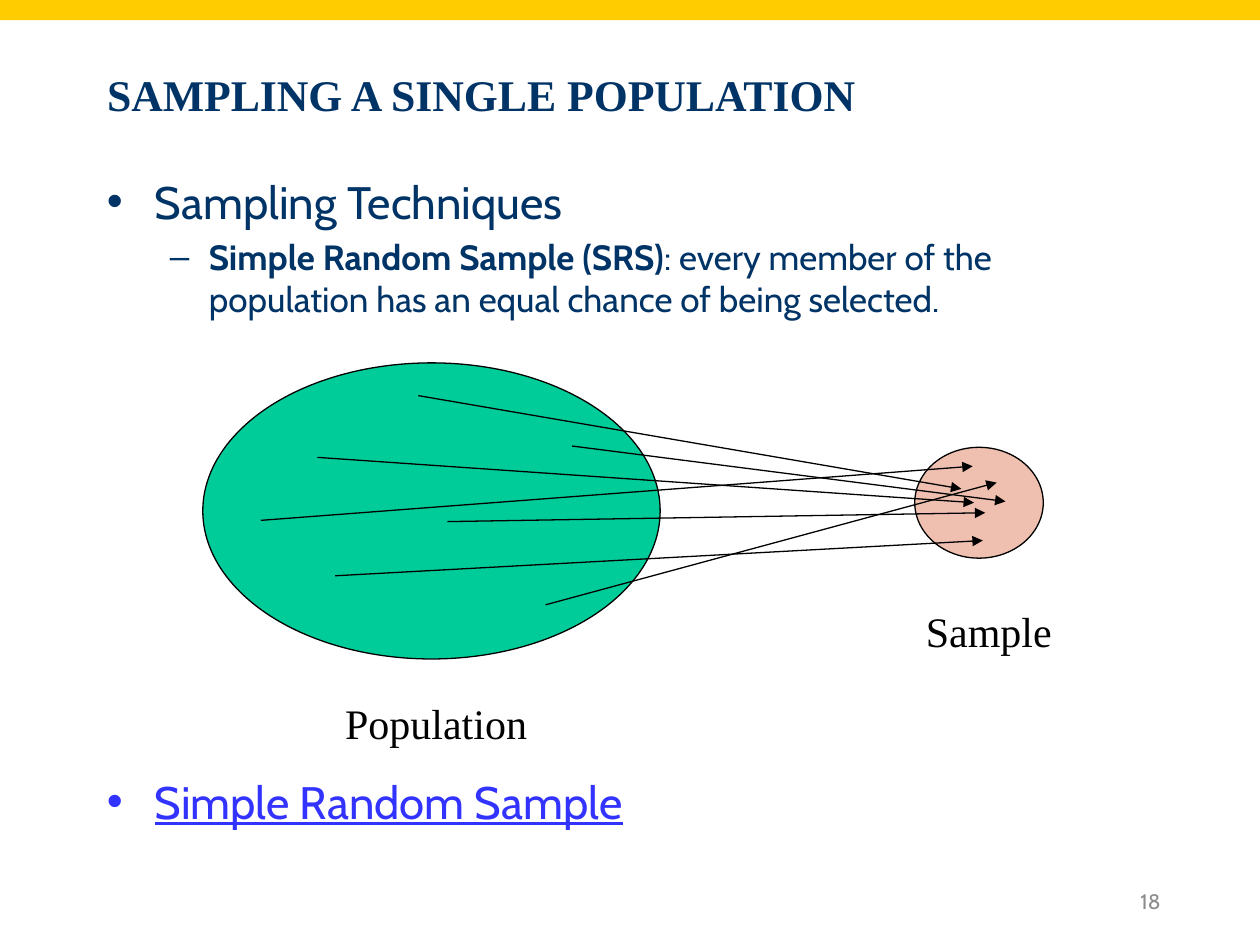
"""Build the slide on drawing a simple random sample from a population."""
from dataclasses import dataclass

from lxml.etree import SubElement
from pptx import Presentation
from pptx.dml.color import RGBColor
from pptx.enum.shapes import MSO_CONNECTOR as Connector, MSO_SHAPE as Shape
from pptx.enum.text import MSO_ANCHOR as Anchor, MSO_AUTO_SIZE as AutoSize, PP_ALIGN as Align
from pptx.oxml.ns import qn
from pptx.slide import Slide
from pptx.text.text import TextFrame, _Paragraph as Paragraph
from pptx.util import Inches, Pt

NAVY = RGBColor(0x00, 0x33, 0x66)
GOLD = RGBColor(0xFF, 0xCC, 0x00)
GREEN = RGBColor(0x00, 0xCC, 0x99)
SALMON = RGBColor(0xEF, 0xC0, 0xAF)
LINK_BLUE = RGBColor(0x33, 0x33, 0xFF)
GREY = RGBColor(0x8C, 0x8C, 0x8C)
BLACK = RGBColor(0, 0, 0)
SANS, SERIF = "Cabin", "Times New Roman"

TITLE_FORMAT = dict(name=SERIF, size=Pt(25), bold=True)
LABEL_FORMAT = dict(name=SERIF, size=Pt(24))
TOPIC_FORMAT = dict(name=SANS, size=Pt(26))
DETAIL_FORMAT = dict(name=SANS, size=Pt(20))
NUMBER_FORMAT = dict(name=SANS, size=Pt(12))


@dataclass(frozen=True)
class Box:
    left: float
    top: float
    width: float
    height: float

    def lengths(self) -> tuple:
        return tuple(map(Inches, (self.left, self.top, self.width, self.height)))


@dataclass(frozen=True)
class Group:
    label: str
    oval: Box
    label_box: Box
    fill: RGBColor


@dataclass(frozen=True)
class Draw:
    start: tuple[float, float]
    end: tuple[float, float]


GROUPS = (
    Group("Population", Box(1.61, 2.88, 3.63, 2.35), Box(2.64, 5.49, 1.69, 0.51), GREEN),
    Group("Sample", Box(7.26, 3.55, 1.02, 0.88), Box(7.25, 4.76, 1.5, 0.51), SALMON),
)
DRAWS = (
    Draw((3.32, 3.14), (7.63, 3.88)),
    Draw((2.52, 3.63), (7.73, 3.99)),
    Draw((2.66, 4.57), (7.8, 4.29)),
    Draw((3.55, 4.14), (7.82, 4.07)),
    Draw((4.33, 4.8), (7.91, 3.83)),
    Draw((4.54, 3.54), (7.98, 3.98)),
    Draw((2.07, 4.13), (7.72, 3.7)),
)


def add_run(paragraph: Paragraph, text: str, color: RGBColor, style: dict) -> None:
    run = paragraph.add_run()
    run.text = text
    for attribute, value in style.items():
        setattr(run.font, attribute, value)
    run.font.color.rgb = color


def set_bullet(paragraph: Paragraph, bullet: str, indent: float, hanging: float) -> None:
    properties = paragraph._p.get_or_add_pPr()
    properties.set("marL", str(Inches(indent)))
    properties.set("indent", str(-Inches(hanging)))
    SubElement(properties, qn("a:buFont")).set("typeface", "Arial")
    SubElement(properties, qn("a:buChar")).set("char", bullet)


def add_text_frame(slide: Slide, box: Box) -> TextFrame:
    frame = slide.shapes.add_textbox(*box.lengths()).text_frame
    frame.word_wrap = True
    return frame


def add_topic(slide: Slide, box: Box, text: str, color: RGBColor, style: dict) -> TextFrame:
    frame = add_text_frame(slide, box)
    topic = frame.paragraphs[0]
    set_bullet(topic, "•", 0.38, 0.38)
    add_run(topic, text, color, style)
    return frame


def add_filled(slide: Slide, kind: Shape, box: Box, fill: RGBColor, outlined: bool) -> None:
    shape = slide.shapes.add_shape(kind, *box.lengths())
    shape.shadow.inherit = False
    shape.fill.solid()
    shape.fill.fore_color.rgb = fill
    if outlined:
        shape.line.color.rgb = BLACK
        shape.line.width = Pt(0.75)
    else:
        shape.line.fill.background()


def add_group(slide: Slide, group: Group) -> None:
    add_filled(slide, Shape.OVAL, group.oval, group.fill, outlined=True)
    frame = add_text_frame(slide, group.label_box)
    add_run(frame.paragraphs[0], group.label, BLACK, LABEL_FORMAT)


def add_arrow(slide: Slide, draw: Draw) -> None:
    ends = map(Inches, draw.start + draw.end)
    arrow = slide.shapes.add_connector(Connector.STRAIGHT, *ends)
    arrow.line.color.rgb = BLACK
    arrow.line.width = Pt(0.75)
    SubElement(arrow.line._get_or_add_ln(), qn("a:tailEnd")).set("type", "triangle")
    SubElement(arrow._element.spPr, qn("a:effectLst"))


def add_title(slide: Slide, text: str) -> None:
    title = slide.shapes.title
    title.left, title.top, title.width, title.height = Box(0.75, 0.33, 8.5, 0.83).lengths()
    frame = title.text_frame
    frame.auto_size = AutoSize.NONE
    frame.vertical_anchor = Anchor.MIDDLE
    frame.paragraphs[0].alignment = Align.LEFT
    add_run(frame.paragraphs[0], text, NAVY, TITLE_FORMAT)


def add_slide_number(slide: Slide, number: str) -> None:
    frame = add_text_frame(slide, Box(7.06, 6.95, 2.25, 0.4))
    frame.vertical_anchor = Anchor.MIDDLE
    frame.paragraphs[0].alignment = Align.RIGHT
    add_run(frame.paragraphs[0], number, GREY, NUMBER_FORMAT)


def main() -> None:
    deck = Presentation()
    deck.slide_width, deck.slide_height = Inches(10), Inches(7.5)
    slide = deck.slides.add_slide(deck.slide_layouts[5])

    add_filled(slide, Shape.RECTANGLE, Box(0, 0, 10, 0.16), GOLD, outlined=False)
    add_slide_number(slide, "18")
    add_title(slide, "SAMPLING A SINGLE POPULATION")

    techniques = add_topic(slide, Box(0.75, 1.33, 8.5, 1.3), "Sampling Techniques", NAVY, TOPIC_FORMAT)
    definition = techniques.add_paragraph()
    definition.level = 1
    definition.space_before = Pt(4)
    set_bullet(definition, "–", 0.81, 0.31)
    add_run(definition, "Simple Random Sample (SRS)", NAVY, DETAIL_FORMAT | {"bold": True})
    add_run(definition, ": every member of the population has an equal chance of being selected.",
            NAVY, DETAIL_FORMAT)
    add_topic(slide, Box(0.75, 6.09, 8.5, 0.55), "Simple Random Sample", LINK_BLUE,
              TOPIC_FORMAT | {"underline": True})

    for group in GROUPS:
        add_group(slide, group)
    for draw in DRAWS:
        add_arrow(slide, draw)

    deck.save("out.pptx")


if __name__ == "__main__":
    main()
